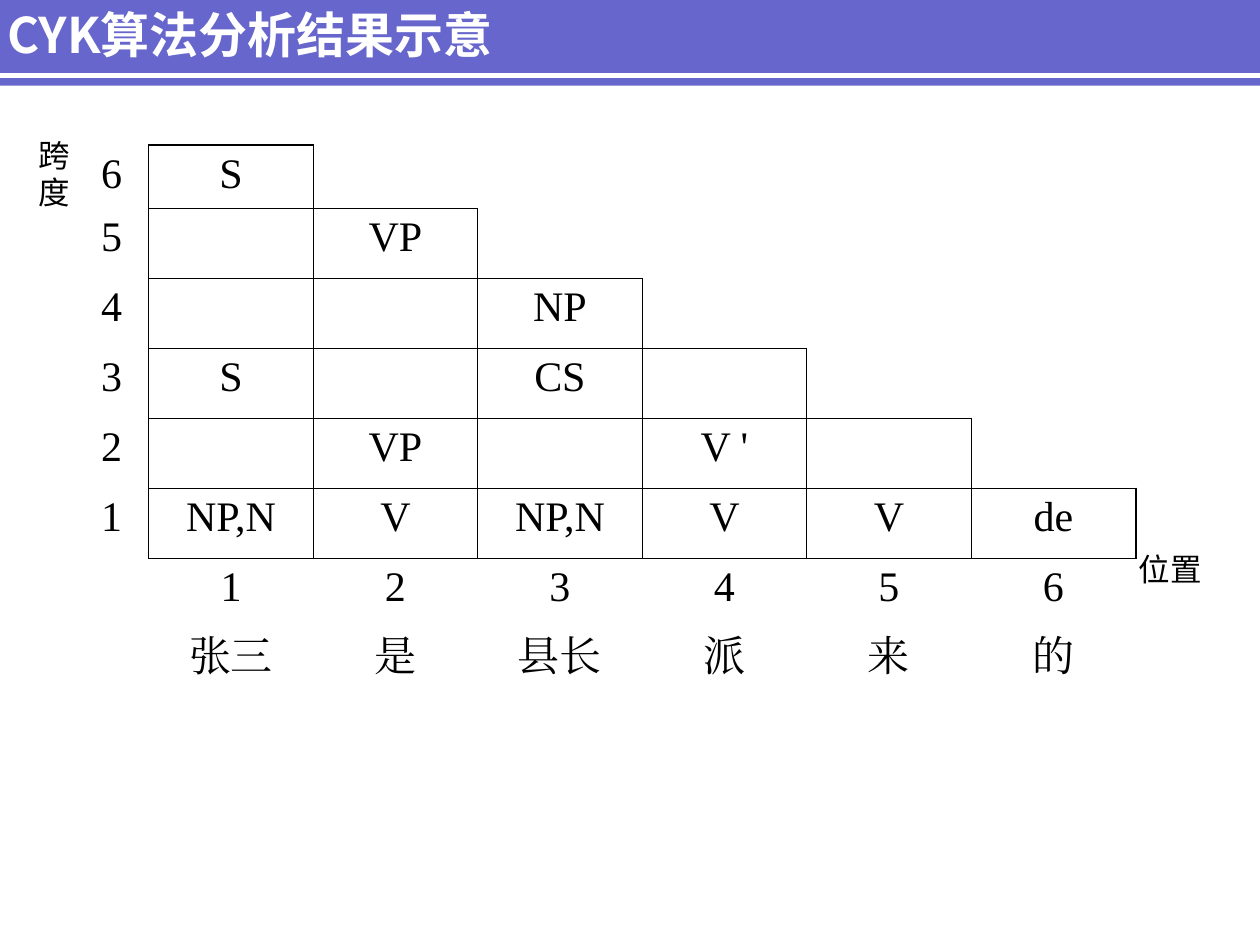
"""Build the slide that shows a CYK parse chart for a six-word sentence."""
from lxml.etree import SubElement as Sub
from pptx import Presentation
from pptx.dml.color import RGBColor as RGB
from pptx.enum.shapes import MSO_CONNECTOR as LINE, MSO_SHAPE as SHAPE
from pptx.enum.text import MSO_ANCHOR as ANCHOR, MSO_AUTO_SIZE as AUTO, PP_ALIGN as ALIGN
from pptx.oxml.ns import qn
from pptx.util import Pt

BLUE = RGB(0x66, 0x66, 0xCC)
WHITE = RGB(255, 255, 255)
BLACK = RGB(0, 0, 0)

HEAD = {"name": "Noto Sans CJK SC", "size": Pt(28), "bold": True}
BODY = {"name": "Times New Roman", "size": Pt(24), "bold": False}
NOTE = {"name": "Calibri", "size": Pt(18), "bold": False}

ROWS = [
    ["6", "S"],
    ["5", "", "VP"],
    ["4", "", "", "NP"],
    ["3", "S", "", "CS", ""],
    ["2", "", "VP", "", "V '", ""],
    ["1", "NP,N", "V", "NP,N", "V", "V", "de"],
    ["", "1", "2", "3", "4", "5", "6"],
    ["", "张三", "是", "县长", "派", "来", "的"],
]
SIDES = {"lnL": (0, -1), "lnR": (0, 1), "lnT": (-1, 0), "lnB": (1, 0)}
THICK = {(0, 1, "lnT"), (5, 6, "lnR")}


def write(frame, text, look, color, align=ALIGN.LEFT):
    para = frame.paragraphs[0]
    para.alignment = align
    run = para.add_run()
    run.text = text
    for key, val in look.items():
        setattr(run.font, key, val)
    run.font.color.rgb = color
    Sub(run.font._element, qn("a:ea"), typeface=look["name"])


def boxed(row, col):
    return 0 <= row <= 5 and 1 <= col <= row + 1


deck = Presentation()
deck.slide_width, deck.slide_height = Pt(720), Pt(540)
slide = deck.slides.add_slide(deck.slide_layouts[5])
shapes = slide.shapes

band = shapes.add_shape(SHAPE.RECTANGLE, Pt(-3), Pt(-2), Pt(723), Pt(51))
band.shadow.inherit = False
band.fill.solid()
band.fill.fore_color.rgb = BLUE
band.line.fill.background()

rule = shapes.add_connector(LINE.STRAIGHT, Pt(-3), Pt(43.2), Pt(720), Pt(43.2))
rule.line.color.rgb = WHITE
rule.line.width = Pt(3)
Sub(rule._element.spPr, qn("a:effectLst"))

title = shapes.title
place = {"left": Pt(-3), "top": Pt(3.6), "width": Pt(631.5), "height": Pt(31)}
for key, val in place.items():
    setattr(title, key, val)
form = {"vertical_anchor": ANCHOR.MIDDLE, "auto_size": AUTO.NONE, "word_wrap": True,
        "margin_top": 0, "margin_bottom": 0}
for key, val in form.items():
    setattr(title.text_frame, key, val)
write(title.text_frame, "CYK算法分析结果示意", HEAD, WHITE)
shapes._spTree.append(title._element)

grid = shapes.add_table(8, 7, Pt(42.5), Pt(82.8), Pt(606.5), Pt(316)).table
grid.first_row = grid.horz_banding = False
for num, col in enumerate(grid.columns):
    col.width = Pt(94 if num else 42.5)
for num, row in enumerate(grid.rows):
    row.height = Pt(40 if num else 36)

for r in range(8):
    for c in range(7):
        cell = grid.cell(r, c)
        props = cell._tc.get_or_add_tcPr()
        for side, (down, right) in SIDES.items():
            width = Pt(1.08 if (r, c, side) in THICK else 0.45)
            edge = Sub(props, qn(f"a:{side}"), w=str(width))
            if boxed(r, c) or boxed(r + down, c + right):
                fill = Sub(edge, qn("a:solidFill"))
                Sub(fill, qn("a:srgbClr"), val=str(BLACK))
            else:
                Sub(edge, qn("a:noFill"))
        cell.fill.background()
        if c < len(ROWS[r]) and ROWS[r][c]:
            write(cell.text_frame, ROWS[r][c], BODY, BLACK, ALIGN.CENTER)
for r in range(2):
    grid.cell(r, 4).merge(grid.cell(r, 6))

for text, x, y, w, h in [("跨度", 15, 74, 43, 50.5), ("位置", 643.5, 311, 70.5, 29)]:
    box = shapes.add_textbox(Pt(x), Pt(y), Pt(w), Pt(h))
    box.text_frame.word_wrap = True
    write(box.text_frame, text, NOTE, BLACK)

deck.save("out.pptx")
